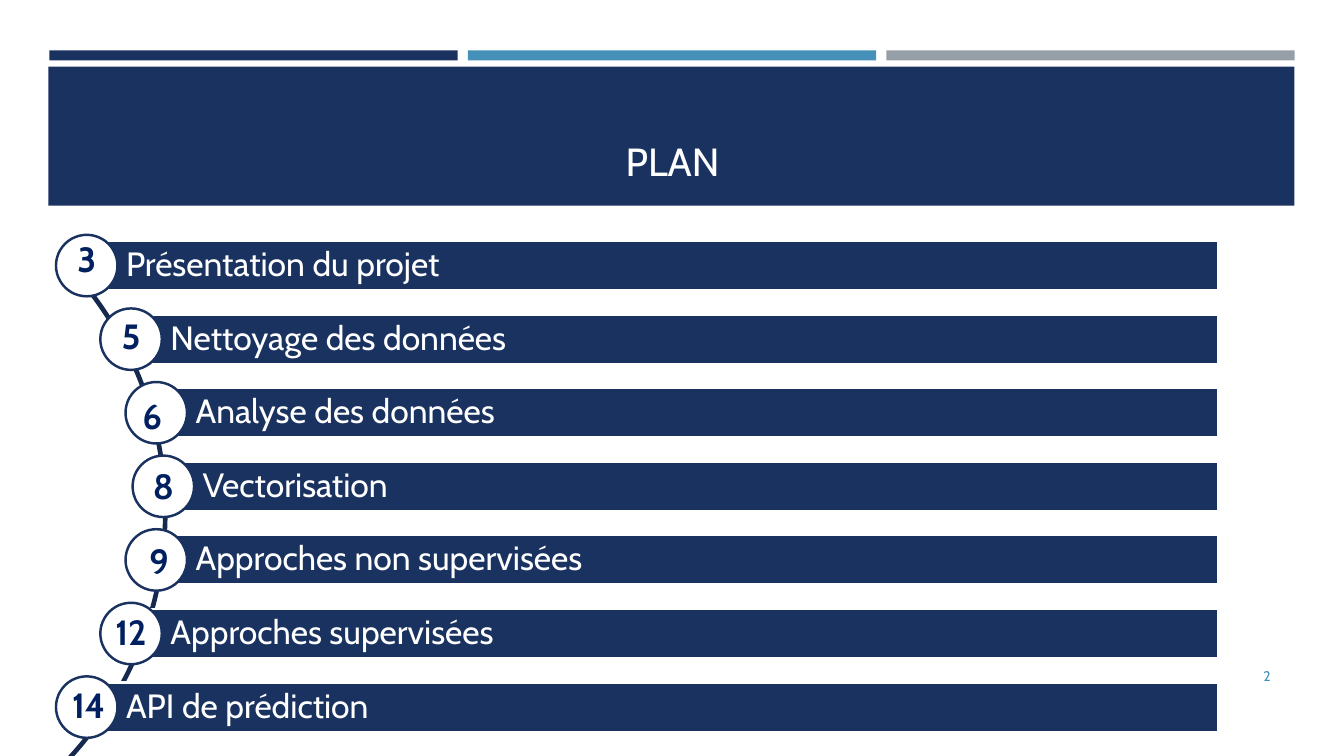
from pptx import Presentation
from pptx.dml.color import RGBColor
from pptx.enum.shapes import MSO_SHAPE
from pptx.enum.text import MSO_ANCHOR, PP_ALIGN
from pptx.util import Inches, Pt

RECT, OVAL, ARC = MSO_SHAPE.RECTANGLE, MSO_SHAPE.OVAL, MSO_SHAPE.BLOCK_ARC
TOP, MIDDLE, BOTTOM = MSO_ANCHOR.TOP, MSO_ANCHOR.MIDDLE, MSO_ANCHOR.BOTTOM
LEFT, CENTER, RIGHT = PP_ALIGN.LEFT, PP_ALIGN.CENTER, PP_ALIGN.RIGHT

NAVY = RGBColor(0x1A, 0x32, 0x60)
DARK_NAVY = RGBColor(0x15, 0x28, 0x4D)
NUMBER_BLUE = RGBColor(0x00, 0x20, 0x60)
BLUE = RGBColor(0x45, 0x90, 0xB8)
GREY = RGBColor(0x96, 0x9F, 0xA7)
WHITE = RGBColor(0xFF, 0xFF, 0xFF)

prs = Presentation()
prs.slide_width, prs.slide_height = Inches(13.33), Inches(7.5)
slide = prs.slides.add_slide(prs.slide_layouts[5])
shapes = slide.shapes


def add_block(kind, x, y, w, h, fill, line=None):
    block = shapes.add_shape(kind, Inches(x), Inches(y), Inches(w), Inches(h))
    block.shadow.inherit = False
    block.fill.solid()
    block.fill.fore_color.rgb = fill
    if line is None:
        block.line.fill.background()
    else:
        block.line.color.rgb = line
        block.line.width = Pt(1.75)
    return block


def write(holder, text, size, color, align, anchor, bold=False):
    frame = holder.text_frame
    frame.word_wrap = True
    frame.vertical_anchor = anchor
    paragraph = frame.paragraphs[0]
    paragraph.alignment = align
    run = paragraph.add_run()
    run.text = text
    run.font.name = "Cabin"
    run.font.size = Pt(size)
    run.font.bold = bold
    run.font.color.rgb = color
    return frame


# Header: three stripes above the title banner
for i, stripe_color in enumerate((NAVY, BLUE, GREY)):
    add_block(RECT, 0.49 + 4.15 * i, 0.5, 4.05, 0.1, stripe_color)
add_block(RECT, 0.48, 0.66, 12.36, 1.38, NAVY)

# Title, brought in front of its banner
title = shapes.title
title.left, title.top = Inches(0.64), Inches(0.77)
title.width, title.height = Inches(12.06), Inches(1.11)
write(title, "PLAN", 28, WHITE, CENTER, BOTTOM)
shapes._spTree.append(title._element)

# Slide number
page_number = shapes.add_textbox(Inches(11.55), Inches(6.51), Inches(1.15), Inches(0.4))
write(page_number, "2", 10, BLUE, RIGHT, MIDDLE)

# Arc that links the chapters, from 315 to 45 degrees
arc = add_block(ARC, -5.56, 1.48, 7.21, 7.21, DARK_NAVY, DARK_NAVY)
for i, value in enumerate((189, 27, 0.003)):
    arc.adjustments[i] = value

# Chapters: label, bar left, page, page centre x, page top
chapters = [
    ("Présentation du projet", 0.86, "3", 0.86, 2.31),
    ("Nettoyage des données", 1.3, "5", 1.3, 3.07),
    ("Analyse des données", 1.55, "6", 1.51, 3.86),
    ("Vectorisation", 1.62, "8", 1.62, 4.56),
    ("Approches non supervisées", 1.55, "9", 1.58, 5.3),
    ("Approches supervisées", 1.3, "12", 1.3, 6.01),
    ("API de prédiction", 0.86, "14", 0.88, 6.73),
]
BAR_RIGHT, BAR_TOP, ROW_STEP = 12.08, 2.39, 0.73
CIRCLE, PAGE_WIDTH = 0.61, 1.25

for row, (label, bar_left, page, page_center, page_top) in enumerate(chapters):
    bar_top = BAR_TOP + ROW_STEP * row
    bar = add_block(RECT, bar_left, bar_top, BAR_RIGHT - bar_left, 0.49, NAVY, WHITE)
    frame = write(bar, label, 24, WHITE, LEFT, MIDDLE)
    frame.margin_left = Inches(0.39)
    frame.margin_right = frame.margin_top = frame.margin_bottom = Inches(0.07)
    frame.paragraphs[0].line_spacing = 0.9
    add_block(OVAL, bar_left - CIRCLE / 2, bar_top - 0.06, CIRCLE, CIRCLE, WHITE, NAVY)
    page_box = shapes.add_textbox(Inches(page_center - PAGE_WIDTH / 2), Inches(page_top),
                                  Inches(PAGE_WIDTH), Inches(0.52))
    write(page_box, page, 25, NUMBER_BLUE, CENTER, TOP, bold=True)

prs.save("out.pptx")
